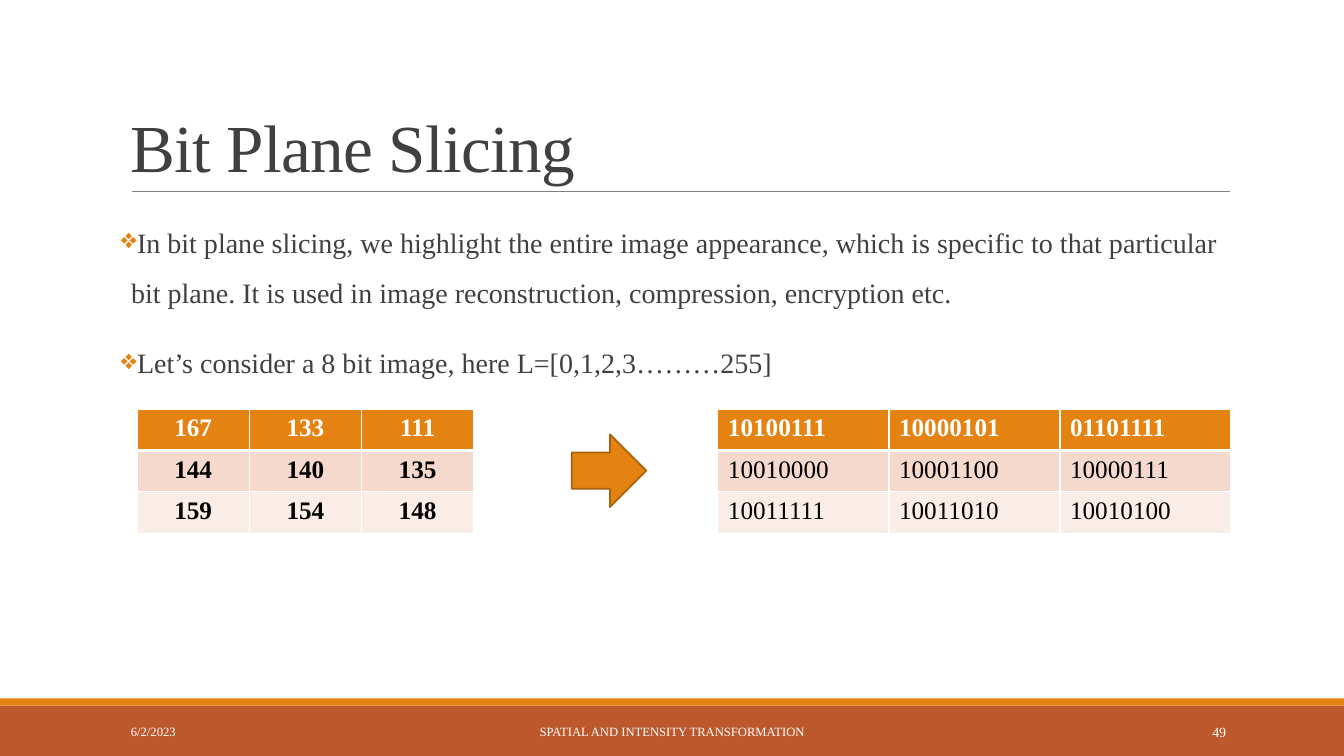
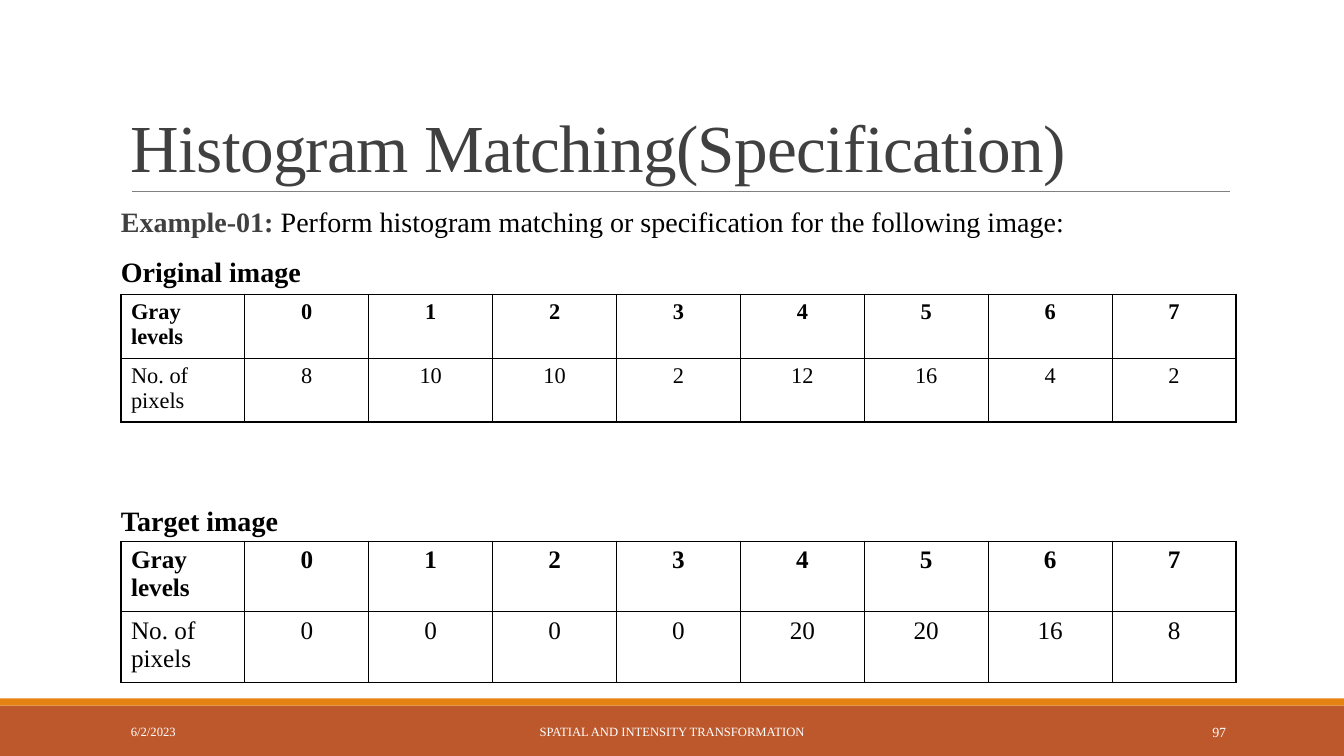
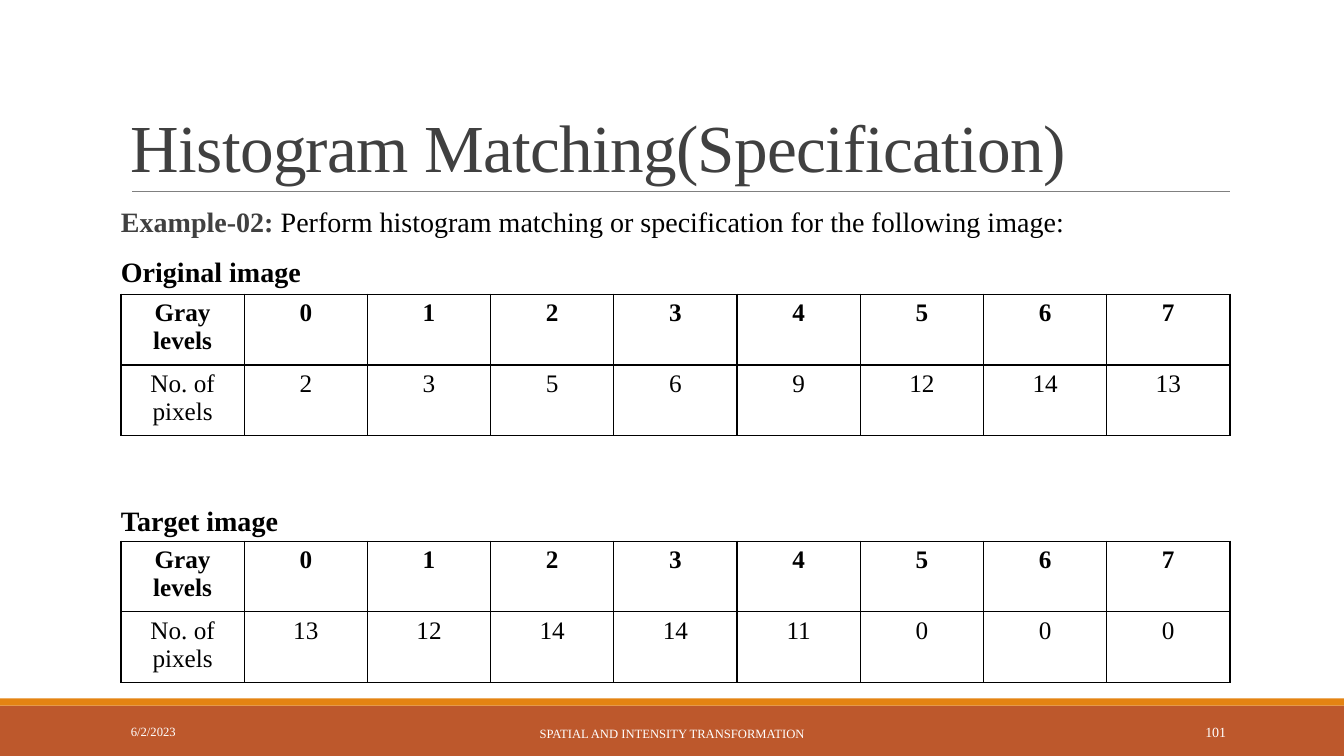
from dataclasses import dataclass

from lxml import etree
from pptx import Presentation
from pptx.dml.color import RGBColor
from pptx.enum.shapes import MSO_CONNECTOR, MSO_SHAPE
from pptx.enum.text import MSO_ANCHOR, PP_ALIGN
from pptx.oxml.ns import qn
from pptx.util import Inches, Pt

LEFT, CENTER, RIGHT = PP_ALIGN.LEFT, PP_ALIGN.CENTER, PP_ALIGN.RIGHT
TOP, MIDDLE, BOTTOM = MSO_ANCHOR.TOP, MSO_ANCHOR.MIDDLE, MSO_ANCHOR.BOTTOM
RECT, ARROW = MSO_SHAPE.RECTANGLE, MSO_SHAPE.RIGHT_ARROW


@dataclass(frozen=True)
class Theme:
    font: str = "Times New Roman"
    accent: str = "E48312"
    accent_dark: str = "A9610D"
    band: str = "BD582C"
    rule: str = "808080"
    text: str = "404040"
    black: str = "000000"
    white: str = "FFFFFF"
    row_odd: str = "F5D9CC"
    row_even: str = "FAEDE7"
    title_size: int = 48
    body_size: int = 20
    table_size: int = 18
    small_table_size: int = 16
    number_size: int = 10
    footer_size: int = 9


T = Theme()
SLIDE_W, SLIDE_H = 13.33, 7.5
MARGIN, CONTENT_W = 1.2, 11
BODY_TOP = 2.02
DATE, FOOTER = "6/2/2023", "SPATIAL AND INTENSITY TRANSFORMATION"

BULLETS = [
    "In bit plane slicing, we highlight the entire image appearance, which is specific "
    "to that particular bit plane. It is used in image reconstruction, compression, "
    "encryption etc.",
    "Let’s consider a 8 bit image, here L=[0,1,2,3………255]",
]
PIXELS = [[167, 133, 111], [144, 140, 135], [159, 154, 148]]

MATCHING_TITLE = "Histogram Matching(Specification)"
MATCHING_TASK = "Perform histogram matching or specification for the following image:"
ORIGINAL_TOP, TARGET_TOP = 2.92, 5.37
EXAMPLES = [
    dict(label="Example-01: ", number=97, footer_top=7.06, width=11.06, label_align=LEFT,
         original=[8, 10, 10, 2, 12, 16, 4, 2], original_size=T.small_table_size,
         target=[0, 0, 0, 0, 20, 20, 16, 8]),
    dict(label="Example-02: ", number=101, footer_top=7.08, width=11, label_align=CENTER,
         original=[2, 3, 5, 6, 9, 12, 14, 13], original_size=T.table_size,
         target=[13, 12, 14, 14, 11, 0, 0, 0]),
]
ROW_HEIGHT = {T.small_table_size: 0.59, T.table_size: 0.65}


def rgb(color):
    return RGBColor.from_string(color)


def style(run, size, color, bold=False):
    font = run.font
    font.name, font.size, font.bold = T.font, Pt(size), bold
    font.color.rgb = rgb(color)


def add_run(p, text, size, color, bold=False):
    r = p.add_run()
    r.text = text
    style(r, size, color, bold)
    return r


def add_box(slide, left, top, width, height, anchor=TOP, side_inset=0.1):
    box = slide.shapes.add_textbox(Inches(left), Inches(top), Inches(width), Inches(height))
    tf = box.text_frame
    tf.word_wrap = True
    tf.vertical_anchor = anchor
    tf.margin_left = tf.margin_right = Inches(side_inset)
    return tf


def add_line_of_text(slide, text, place, size, color, align=LEFT, anchor=MIDDLE):
    p = add_box(slide, *place, anchor=anchor).paragraphs[0]
    p.alignment = align
    return p, add_run(p, text, size, color)


def add_filled(slide, kind, left, top, width, height, color, line=None):
    sp = slide.shapes.add_shape(kind, Inches(left), Inches(top), Inches(width), Inches(height))
    sp.shadow.inherit = False
    sp.fill.solid()
    sp.fill.fore_color.rgb = rgb(color)
    if line:
        sp.line.color.rgb = rgb(line)
        sp.line.width = Pt(1.25)
    else:
        sp.line.fill.background()


def add_base_slide(prs, title, number, footer_top=7.06):
    """Blank slide with the shared bands, title, title rule and footer."""
    slide = prs.slides.add_slide(prs.slide_layouts[6])
    add_filled(slide, RECT, 0, 7, SLIDE_W, 0.5, T.band)
    add_filled(slide, RECT, 0, 6.93, SLIDE_W, 0.07, T.accent)

    rule = slide.shapes.add_connector(
        MSO_CONNECTOR.STRAIGHT, Inches(1.31), Inches(1.9), Inches(12.2), Inches(1.9))
    rule.line.color.rgb = rgb(T.rule)
    rule.line.width = Pt(0.5)
    etree.SubElement(rule._element.spPr, qn("a:effectLst"))

    p, r = add_line_of_text(slide, title, (MARGIN, 0.31, CONTENT_W, 1.59),
                            T.title_size, T.text, anchor=BOTTOM)
    p.line_spacing = 0.85
    r._r.get_or_add_rPr().set("spc", "-50")

    for text, place, size, align in [
        (DATE, (MARGIN, 7.06, 2.7, 0.4), T.footer_size, LEFT),
        (FOOTER, (4.03, footer_top, 5.27, 0.4), T.footer_size, CENTER),
        (str(number), (10.83, 7.06, 1.43, 0.4), T.number_size, RIGHT),
    ]:
        add_line_of_text(slide, text, place, size, T.white, align)
    return slide


def space(p, line, before):
    p.line_spacing = line
    p.space_before, p.space_after = Pt(before), Pt(2)


def add_bullet(p):
    pPr = p._p.get_or_add_pPr()
    pPr.set("marL", str(Inches(0.1)))
    pPr.set("indent", str(-Inches(0.1)))
    color = etree.SubElement(pPr, qn("a:buClr"))
    etree.SubElement(color, qn("a:srgbClr")).set("val", T.accent)
    etree.SubElement(pPr, qn("a:buChar")).set("char", "❖")


def set_borders(cell, color, top=1, bottom=1):
    tcPr = cell._tc.get_or_add_tcPr()
    for side, width in (("L", 1), ("R", 1), ("T", top), ("B", bottom)):
        ln = etree.SubElement(tcPr, qn(f"a:ln{side}"))
        ln.set("w", str(Pt(width)))
        fill = etree.SubElement(ln, qn("a:solidFill"))
        etree.SubElement(fill, qn("a:srgbClr")).set("val", color)


def add_grid(slide, rows, left, top, width, row_height, size, fills, border,
             header_color=T.black, header_rule=1, bold_body=False,
             align=CENTER, label_align=None):
    """Table with equal columns; label_align, if given, is for the first column."""
    n_rows, n_cols = len(rows), len(rows[0])
    table = slide.shapes.add_table(n_rows, n_cols, Inches(left), Inches(top),
                                   Inches(width), Inches(row_height * n_rows)).table
    table.horz_banding = False
    for column in table.columns:
        column.width = Inches(width / n_cols)
    for i, values in enumerate(rows):
        for j, value in enumerate(values):
            cell = table.cell(i, j)
            set_borders(cell, border, top=header_rule if i == 1 else 1,
                        bottom=header_rule if i == 0 else 1)
            cell.fill.solid()
            cell.fill.fore_color.rgb = rgb(fills[i])
            p = cell.text_frame.paragraphs[0]
            p.alignment = label_align if j == 0 and label_align is not None else align
            add_run(p, str(value), size, header_color if i == 0 else T.black,
                    bold=i == 0 or bold_body)


def build_bit_planes(prs):
    slide = add_base_slide(prs, "Bit Plane Slicing", 49)
    tf = add_box(slide, MARGIN, BODY_TOP, CONTENT_W, 4.4, side_inset=0)
    for i, text in enumerate(BULLETS):
        p = tf.add_paragraph() if i else tf.paragraphs[0]
        add_bullet(p)
        space(p, 1.5, 12 if i else 0)
        add_run(p, text, T.body_size, T.text)

    look = dict(top=4.06, row_height=0.41, size=T.table_size, border=T.white,
                fills=[T.accent, T.row_odd, T.row_even],
                header_color=T.white, header_rule=3)
    binary = [[f"{value:08b}" for value in row] for row in PIXELS]
    add_grid(slide, PIXELS, left=1.36, width=3.34, bold_body=True, **look)
    add_grid(slide, binary, left=7.12, width=5.09, align=LEFT, **look)
    add_filled(slide, ARROW, 5.67, 4.31, 0.74, 0.72, T.accent, T.accent_dark)


def build_matching(prs, example):
    slide = add_base_slide(prs, MATCHING_TITLE, example["number"], example["footer_top"])
    tf = add_box(slide, MARGIN, BODY_TOP, CONTENT_W, 4.4, side_inset=0)
    p = tf.paragraphs[0]
    space(p, 0.9, 0)
    add_run(p, example["label"], T.body_size, T.text, bold=True)
    add_run(p, MATCHING_TASK, T.body_size, T.black)
    for caption, before in (("Original image", 12), ("Target image", 154)):
        p = tf.add_paragraph()
        space(p, 0.9, before)
        add_run(p, caption, T.body_size, T.black, bold=True)

    for counts, top, size in (
        (example["original"], ORIGINAL_TOP, example["original_size"]),
        (example["target"], TARGET_TOP, T.table_size),
    ):
        rows = [["Gray levels", *range(len(counts))], ["No. of pixels", *counts]]
        add_grid(slide, rows, MARGIN, top, example["width"], ROW_HEIGHT[size], size,
                 fills=[T.white] * 2, border=T.black, label_align=example["label_align"])


def main():
    prs = Presentation()
    prs.slide_width, prs.slide_height = Inches(SLIDE_W), Inches(SLIDE_H)
    build_bit_planes(prs)
    for example in EXAMPLES:
        build_matching(prs, example)
    prs.save("out.pptx")


if __name__ == "__main__":
    main()
